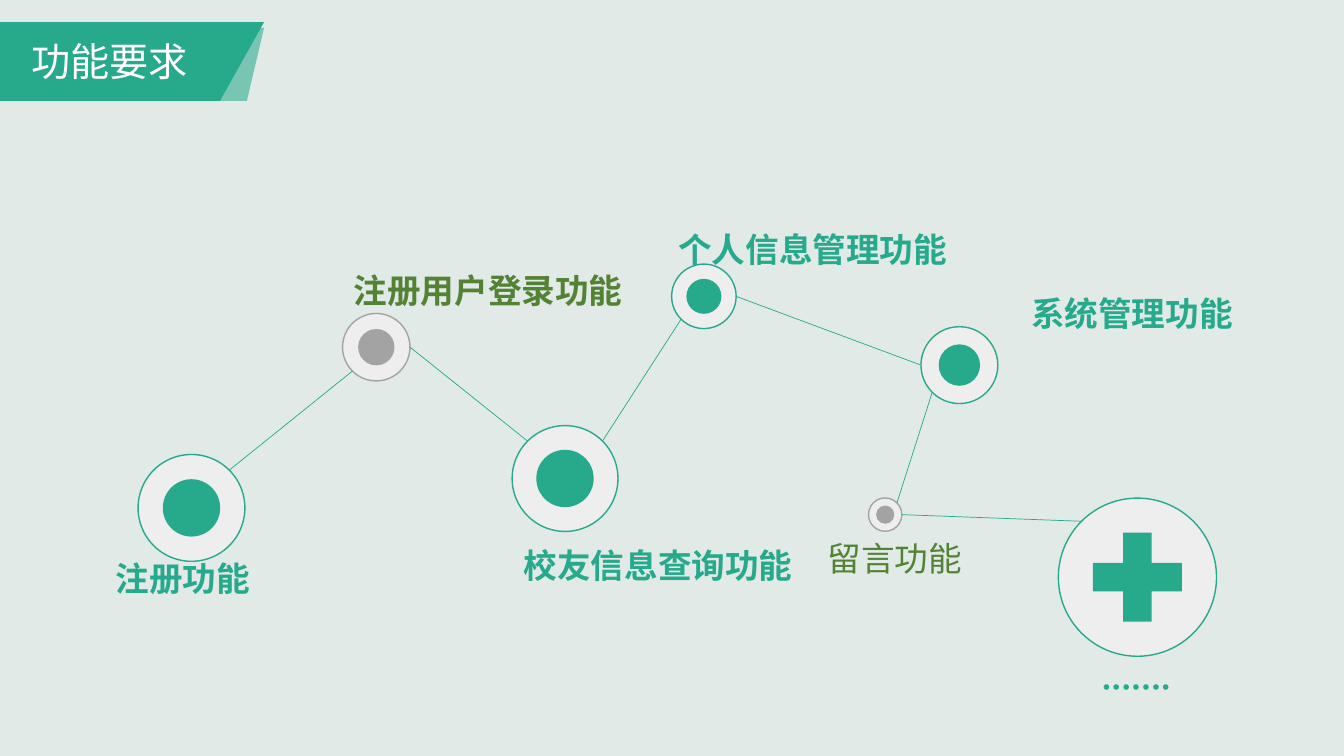
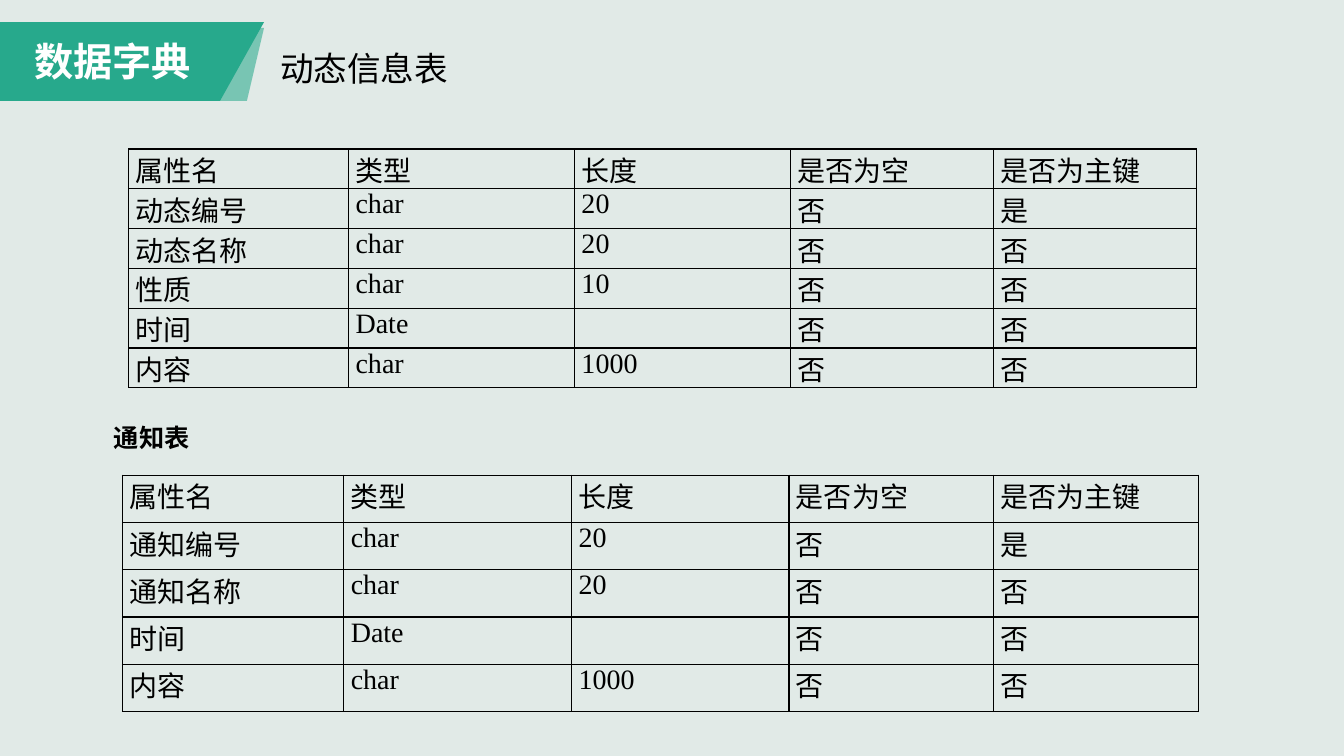
from dataclasses import dataclass
from math import cos, radians, sin

from pptx import Presentation
from pptx.dml.color import RGBColor
from pptx.enum.shapes import MSO_CONNECTOR, MSO_SHAPE
from pptx.enum.text import MSO_AUTO_SIZE, PP_ALIGN
from pptx.oxml.ns import qn
from pptx.util import Pt
from lxml import etree

OVAL = MSO_SHAPE.OVAL
PLUS = MSO_SHAPE.MATH_PLUS
STRAIGHT = MSO_CONNECTOR.STRAIGHT
LEFT = PP_ALIGN.LEFT
CENTER = PP_ALIGN.CENTER
GROW = MSO_AUTO_SIZE.SHAPE_TO_FIT_TEXT

COLORS = {
    "background": "E1EAE7",
    "green": "27A98C",
    "olive": "548235",
    "gray": "A4A3A4",
    "ring": "EEEEEE",
    "white": "FFFFFF",
    "black": "000000",
}
CJK_FONT = "Noto Sans CJK JP"
TEXT_FONT = "Calibri"
TABLE_FONT = "Times New Roman"

RIGHT_SIDE, LOWER_LEFT, LEFT_SIDE, UPPER_LEFT, UPPER_RIGHT = 0, 135, 180, 225, 315


@dataclass(frozen=True)
class Label:
    text: str
    left: float
    top: float
    width: float
    height: float
    size: float
    color: str
    font: str = CJK_FONT
    bold: bool = False
    wrap: bool = True
    align: PP_ALIGN = LEFT


@dataclass(frozen=True)
class Node:
    x: float
    y: float
    diameter: float
    core: float
    color: str = "green"
    core_shape: MSO_SHAPE = OVAL

    def rim(self, angle: float) -> tuple[int, int]:
        radius = self.diameter / 2
        return (Pt(self.x + radius * cos(radians(angle))),
                Pt(self.y + radius * sin(radians(angle))))


@dataclass(frozen=True)
class Link:
    start: str
    start_angle: float
    end: str
    end_angle: float


@dataclass(frozen=True)
class Dictionary:
    left: float
    top: float
    column_widths: tuple[float, ...]
    row_height: float
    rows: tuple[tuple[str, ...], ...]


NODES = {
    "register": Node(136.8, 362.8, 76.3, 41),
    "login": Node(268.8, 248, 48.2, 26, "gray"),
    "query": Node(403.6, 341.8, 75.6, 41),
    "personal": Node(502.8, 211.7, 46.1, 25),
    "message": Node(632.3, 367.6, 23.8, 13, "gray"),
    "more": Node(812.5, 412.3, 113, 86.4, core_shape=PLUS),
    "system": Node(685.3, 260.8, 54.9, 29.6),
}
LINKS = (
    Link("register", UPPER_RIGHT, "login", LOWER_LEFT),
    Link("login", RIGHT_SIDE, "query", UPPER_LEFT),
    Link("query", UPPER_RIGHT, "personal", LOWER_LEFT),
    Link("personal", RIGHT_SIDE, "system", LEFT_SIDE),
    Link("system", LOWER_LEFT, "message", UPPER_RIGHT),
    Link("message", RIGHT_SIDE, "more", UPPER_LEFT),
)
FUNCTION_LABELS = (
    Label("注册用户登录功能", 245.5, 189.4, 209.5, 36, 24, "olive", bold=True, wrap=False),
    Label("个人信息管理功能", 477.4, 160.2, 209.5, 36, 24, "green", bold=True, wrap=False),
    Label("校友信息查询功能", 367, 385.9, 208.5, 36, 24, "green", bold=True, wrap=False),
    Label("系统管理功能", 729.4, 205.9, 160.5, 36, 24, "green", bold=True, wrap=False),
    Label("注册功能", 75.6, 395.3, 112.3, 36, 24, "green", bold=True, wrap=False),
    Label("留言功能", 584.2, 380.9, 111.6, 36, 24, "olive", wrap=False),
    Label("·······", 779.8, 467.3, 65.5, 41, 28, "green", TEXT_FONT),
)
TABLE_LABELS = (
    Label("动态信息表", 193, 31, 211.7, 36, 24, "black", TEXT_FONT),
    Label("通知表", 74.2, 298.1, 147.6, 28.8, 18, "black", TEXT_FONT, bold=True),
)
HEADER = ("属性名", "类型", "长度", "是否为空", "是否为主键")
TIME_AND_CONTENT = (
    ("时间", "Date", "", "否", "否"),
    ("内容", "char", "1000", "否", "否"),
)
DICTIONARIES = (
    Dictionary(92, 106.4, (157, 161.4, 154.3, 145, 145), 28.45, (
        HEADER,
        ("动态编号", "char", "20", "否", "是"),
        ("动态名称", "char", "20", "否", "否"),
        ("性质", "char", "10", "否", "否"),
        *TIME_AND_CONTENT,
    )),
    Dictionary(87.4, 339.4, (158.2, 162.8, 155.2, 146.2, 146.2), 33.8, (
        HEADER,
        ("通知编号", "char", "20", "否", "是"),
        ("通知名称", "char", "20", "否", "否"),
        *TIME_AND_CONTENT,
    )),
)


def rgb(name: str) -> RGBColor:
    return RGBColor.from_string(COLORS[name])


def format_run(run, font: str, size: float, color: str, bold: bool = False) -> None:
    run.font.name = font
    run.font.size = Pt(size)
    run.font.bold = bold
    run.font.color.rgb = rgb(color)
    properties = run._r.get_or_add_rPr()
    etree.SubElement(properties, qn("a:ea")).set("typeface", CJK_FONT)


def paint(shape, fill: str, line: str | None = None) -> None:
    shape.shadow.inherit = False
    shape.fill.solid()
    shape.fill.fore_color.rgb = rgb(fill)
    if line:
        shape.line.color.rgb = rgb(line)
        shape.line.width = Pt(1)
    else:
        shape.line.fill.background()


def add_label(slide, label: Label) -> None:
    box = slide.shapes.add_textbox(
        Pt(label.left), Pt(label.top), Pt(label.width), Pt(label.height))
    frame = box.text_frame
    frame.text = label.text
    frame.word_wrap = label.wrap
    frame.auto_size = GROW
    paragraph = frame.paragraphs[0]
    paragraph.alignment = label.align
    format_run(paragraph.runs[0], label.font, label.size, label.color, label.bold)


def add_band(slide, top: float, lower_right: float, opacity: int = 100) -> None:
    right, bottom = 188.6, 72
    builder = slide.shapes.build_freeform(Pt(0), Pt(top), 1.0)
    builder.add_line_segments(
        [(Pt(right), Pt(top)), (Pt(lower_right), Pt(bottom)), (Pt(0), Pt(bottom))], close=True)
    band = builder.convert_to_shape()
    paint(band, "green")
    if opacity < 100:
        color = band._element.spPr.find(qn("a:solidFill"))[0]
        etree.SubElement(color, qn("a:alpha")).set("val", str(opacity * 1000))


def add_titled_slide(presentation, title: str, left: float, bold: bool):
    slide = presentation.slides.add_slide(presentation.slide_layouts[6])
    add_band(slide, 20, 176.4, 56)
    add_band(slide, 15.8, 157.2)
    add_label(slide, Label(title, left, 23, 163.4, 41, 28, "white", bold=bold, align=CENTER))
    return slide


def add_disc(slide, node: Node, kind: MSO_SHAPE, size: float, fill: str,
             line: str | None = None) -> None:
    disc = slide.shapes.add_shape(
        kind, Pt(node.x - size / 2), Pt(node.y - size / 2), Pt(size), Pt(size))
    paint(disc, fill, line)


def add_node(slide, node: Node) -> None:
    add_disc(slide, node, OVAL, node.diameter, "ring", node.color)
    add_disc(slide, node, node.core_shape, node.core, node.color)


def add_link(slide, link: Link) -> None:
    connector = slide.shapes.add_connector(
        STRAIGHT,
        *NODES[link.start].rim(link.start_angle),
        *NODES[link.end].rim(link.end_angle))
    connector.line.color.rgb = rgb("green")
    connector.line.width = Pt(0.5)
    etree.SubElement(connector._element.spPr, qn("a:effectLst"))


def format_cell(cell, text: str) -> None:
    cell.margin_left = cell.margin_right = Pt(5)
    cell.margin_top = cell.margin_bottom = Pt(0)
    properties = cell._tc.get_or_add_tcPr()
    for side in ("a:lnL", "a:lnR", "a:lnT", "a:lnB"):
        border = etree.SubElement(properties, qn(side))
        border.set("w", str(Pt(1)))
        fill = etree.SubElement(border, qn("a:solidFill"))
        etree.SubElement(fill, qn("a:srgbClr")).set("val", COLORS["black"])
    cell.fill.background()
    cell.text_frame.text = text
    for run in cell.text_frame.paragraphs[0].runs:
        format_run(run, TABLE_FONT, 20, "black")


def add_dictionary(slide, dictionary: Dictionary) -> None:
    rows, widths = dictionary.rows, dictionary.column_widths
    table = slide.shapes.add_table(
        len(rows), len(widths), Pt(dictionary.left), Pt(dictionary.top),
        Pt(sum(widths)), Pt(dictionary.row_height * len(rows))).table
    table.first_row = table.horz_banding = False
    for column, width in zip(table.columns, widths):
        column.width = Pt(width)
    for row, texts in zip(table.rows, rows):
        row.height = Pt(dictionary.row_height)
        for cell, text in zip(row.cells, texts):
            format_cell(cell, text)


def build_functions(presentation) -> None:
    slide = add_titled_slide(presentation, "功能要求", -3.6, False)
    for node in NODES.values():
        add_node(slide, node)
    for link in LINKS:
        add_link(slide, link)
    for label in FUNCTION_LABELS:
        add_label(slide, label)


def build_dictionaries(presentation) -> None:
    slide = add_titled_slide(presentation, "数据字典", -1.4, True)
    for label in TABLE_LABELS:
        add_label(slide, label)
    for dictionary in DICTIONARIES:
        add_dictionary(slide, dictionary)


def main() -> None:
    presentation = Presentation()
    presentation.slide_width = Pt(960)
    presentation.slide_height = Pt(540)
    background = presentation.slide_master.background.fill
    background.solid()
    background.fore_color.rgb = rgb("background")
    build_functions(presentation)
    build_dictionaries(presentation)
    presentation.save("out.pptx")


if __name__ == "__main__":
    main()
